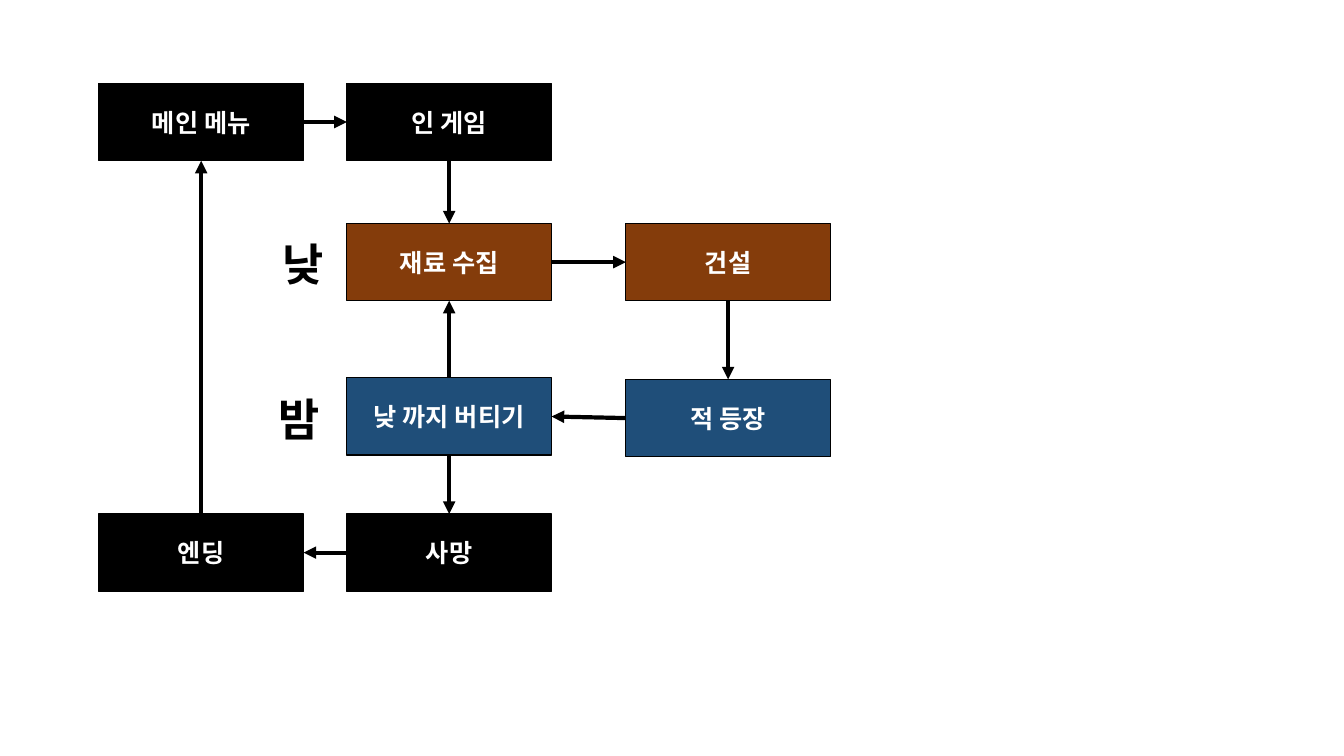
from lxml import etree
from pptx import Presentation
from pptx.dml.color import RGBColor
from pptx.enum import shapes, text
from pptx.oxml.ns import qn
from pptx.util import Cm, Pt

FONT = "Noto Sans CJK KR"
COLORS = {"black": "000000", "white": "FFFFFF", "day": "843C0B", "night": "1F4E79"}
STEP_W, STEP_H = 5.16, 1.95
COLUMNS = [2.49, 8.74, 15.77]
TOP, BOTTOM, LEFT, RIGHT = 0, 2, 1, 3

# key: (wording, column, top, colour)
STEPS = {
    "menu": ("메인 메뉴", 0, 2.1, "black"),
    "game": ("인 게임", 1, 2.1, "black"),
    "gather": ("재료 수집", 1, 5.63, "day"),
    "build": ("건설", 2, 5.63, "day"),
    "enemy": ("적 등장", 2, 9.56, "night"),
    "survive": ("낮 까지 버티기", 1, 9.52, "night"),
    "death": ("사망", 1, 12.95, "black"),
    "ending": ("엔딩", 0, 12.95, "black"),
}

# (from step, side, to step, side)
FLOWS = [
    ("menu", RIGHT, "game", LEFT),
    ("game", BOTTOM, "gather", TOP),
    ("gather", RIGHT, "build", LEFT),
    ("build", BOTTOM, "enemy", TOP),
    ("enemy", LEFT, "survive", RIGHT),
    ("survive", BOTTOM, "death", TOP),
    ("death", LEFT, "ending", RIGHT),
    ("ending", TOP, "menu", BOTTOM),
    ("survive", TOP, "gather", BOTTOM),
]

# (wording, left, top)
PHASES = [("낮", 6.86, 5.85), ("밤", 6.76, 9.74)]


def rgb(name):
    return RGBColor.from_string(COLORS[name])


def add_run(paragraph, wording, size, color):
    run = paragraph.add_run()
    run.text = wording
    run.font.size = Pt(size)
    run.font.bold = True
    run.font.color.rgb = rgb(color)
    run.font.name = FONT
    # Korean glyphs take the East Asian font
    etree.SubElement(run._r.get_or_add_rPr(), qn("a:ea"), typeface=FONT)


def add_step(slide, wording, column, top, color):
    step = slide.shapes.add_shape(
        shapes.MSO_SHAPE.RECTANGLE,
        Cm(COLUMNS[column]), Cm(top), Cm(STEP_W), Cm(STEP_H))
    step.shadow.inherit = False
    step.fill.solid()
    step.fill.fore_color.rgb = rgb(color)
    step.line.color.rgb = rgb("black")
    step.line.width = Pt(1)
    step.text_frame.vertical_anchor = text.MSO_ANCHOR.MIDDLE
    paragraph = step.text_frame.paragraphs[0]
    paragraph.alignment = text.PP_ALIGN.CENTER
    add_run(paragraph, wording, 18, "white")
    return step


def add_flow(slide, source, source_side, target, target_side):
    flow = slide.shapes.add_connector(shapes.MSO_CONNECTOR.STRAIGHT, 0, 0, 0, 0)
    flow.begin_connect(source, source_side)
    flow.end_connect(target, target_side)
    flow.line.color.rgb = rgb("black")
    flow.line.width = Pt(3)
    properties = flow._element.spPr
    etree.SubElement(properties.find(qn("a:ln")), qn("a:tailEnd"), type="triangle")
    etree.SubElement(properties, qn("a:effectLst"))


def add_phase(slide, wording, left, top):
    phase = slide.shapes.add_textbox(Cm(left), Cm(top), Cm(1.78), Cm(1.62))
    phase.text_frame.word_wrap = True
    phase.text_frame.auto_size = text.MSO_AUTO_SIZE.SHAPE_TO_FIT_TEXT
    add_run(phase.text_frame.paragraphs[0], wording, 32, "black")


def main():
    deck = Presentation()
    deck.slide_width, deck.slide_height = Cm(33.87), Cm(19.05)
    slide = deck.slides.add_slide(deck.slide_layouts.get_by_name("Blank"))

    # Game steps
    steps = {key: add_step(slide, *step) for key, step in STEPS.items()}

    # Arrows between the steps
    for source, source_side, target, target_side in FLOWS:
        add_flow(slide, steps[source], source_side, steps[target], target_side)

    # Day and night labels
    for phase in PHASES:
        add_phase(slide, *phase)

    deck.save("out.pptx")


if __name__ == "__main__":
    main()
